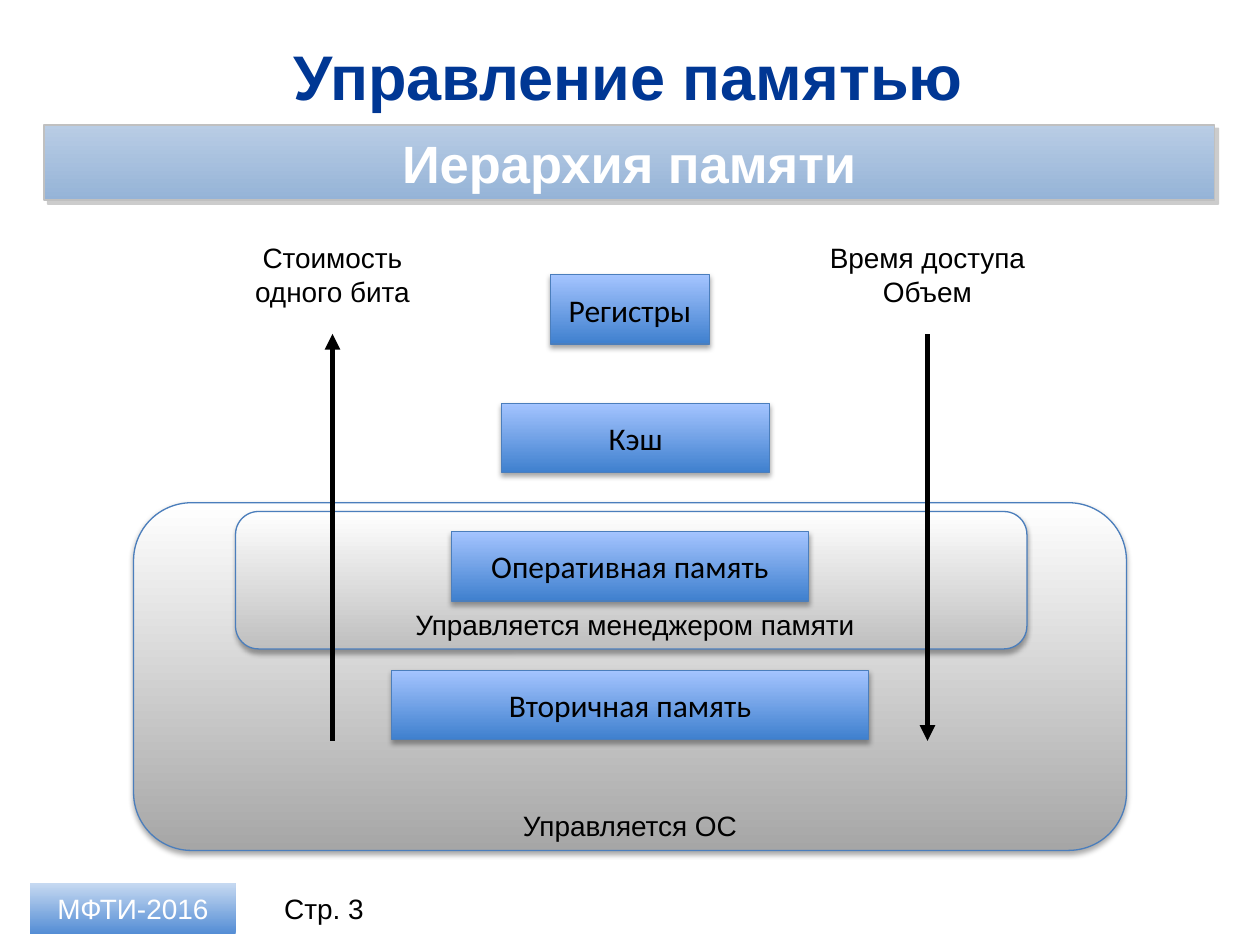
import pptx
import pptx.util
import pptx.dml.color
import pptx.enum.shapes
import pptx.enum.text
import pptx.oxml
import pptx.oxml.ns

Pt = pptx.util.Pt
KIND = pptx.enum.shapes.MSO_SHAPE
ANCHOR = pptx.enum.text.MSO_ANCHOR

THEME = {
    "font": "Arial", "box_font": "Calibri",
    "head": 36, "sub": 30, "box": 18, "note": 16,
    "ink": "000000", "white": "FFFFFF", "navy": "003794",
    "edge": "4B7EBC", "rim": "C0C0C0",
    "blue": ("3F80CE", "A4C4FF"), "band": ("95B3D7", "B9CDE5"),
    "tag": ("558ED5", "C6D9F1"),
    "dark": ("A6A6A6", "FFFFFF"), "pale": ("BFBFBF", "FFFFFF"),
    "soft": ("000000", 35, 3.1, 1.8, 90), "hard": ("808080", 40, 0, 3, 45),
}

TITLE = ("Управление памятью", (17.3, 18.7, 683.3, 49))
BAND = ("Иерархия памяти", (25.2, 71.3, 668.9, 43.2))
TAG = ("МФТИ-2016", (17.3, 504.7, 117.4, 28.8))
PAGE = ("Стр. 3", (146.2, 504.7, 77.8, 28.8))
ZONES = [("dark", (76.3, 287.3, 567.4, 198.7)), ("pale", (134.6, 292.3, 452.2, 78.5))]
LEVELS = [
    ("Регистры", 360, 157, 90.7),
    ("Кэш", 363.2, 230.4, 153.4),
    ("Оперативная память", 360, 303.8, 203.8),
    ("Вторичная память", 360, 383, 272.2),
]
LEVEL_HIGH = 39.6
TRENDS = [("Стоимость одного бита", 190, "tailEnd"), ("Время доступа\nОбъем", 530, "headEnd")]
TREND_WIDE, TREND_TOP, TREND_HIGH = 136, 133.9, 46.1
ARROW_LOW, ARROW_TOP = 423.4, 190.8
NOTES = [
    ("Управляется ОС", (229.7, 458.6, 260.6, 26.6)),
    ("Управляется менеджером памяти", (223.9, 343.4, 277.9, 26.6)),
]


def tint(code):
    return pptx.dml.color.RGBColor.from_string(code)


def place(area):
    return [Pt(part) for part in area]


def write(shape, text, size="note", font="font", color="ink", bold=False,
          anchor=ANCHOR.MIDDLE, inset=7.2):
    frame = shape.text_frame
    frame.word_wrap = True
    frame.auto_size = pptx.enum.text.MSO_AUTO_SIZE.NONE
    frame.vertical_anchor = anchor
    frame.margin_left = frame.margin_right = Pt(inset)
    frame.margin_top = frame.margin_bottom = Pt(3.6)
    frame.text = text
    for para in frame.paragraphs:
        para.alignment = pptx.enum.text.PP_ALIGN.CENTER
        for run in para.runs:
            run.font.name = THEME[font]
            run.font.size = Pt(THEME[size])
            run.font.bold = bold
            run.font.color.rgb = tint(THEME[color])


def shade(shape, look):
    color, alpha, blur, dist, turn = THEME[look]
    space = pptx.oxml.ns.nsdecls("a")
    shape._element.spPr.append(pptx.oxml.parse_xml(
        f'<a:effectLst {space}><a:outerShdw blurRad="{Pt(blur)}" dist="{Pt(dist)}" '
        f'dir="{turn * 60000}" rotWithShape="0"><a:srgbClr val="{color}">'
        f'<a:alpha val="{alpha * 1000}"/></a:srgbClr></a:outerShdw></a:effectLst>'))


def panel(slide, area, blend, kind=KIND.RECTANGLE, edge="edge", width=0.75, look="soft"):
    shape = slide.shapes.add_shape(kind, *place(area))
    shape.fill.gradient()
    shape.fill.gradient_angle = 90
    for stop, color in zip(shape.fill.gradient_stops, THEME[blend]):
        stop.color.rgb = tint(color)
    if edge:
        shape.line.color.rgb = tint(THEME[edge])
        shape.line.width = Pt(width)
    else:
        shape.line.fill.background()
    if look:
        shade(shape, look)
    else:
        shape.shadow.inherit = False
    return shape


def label(slide, text, area, **style):
    write(slide.shapes.add_textbox(*place(area)), text, **style)


def arrow(slide, mid, end):
    line = slide.shapes.add_connector(
        pptx.enum.shapes.MSO_CONNECTOR.STRAIGHT,
        *place((mid, ARROW_LOW, mid, ARROW_TOP)))
    line.line.color.rgb = tint(THEME["ink"])
    line.line.width = Pt(3)
    space = pptx.oxml.ns.nsdecls("a")
    line.line._get_or_add_ln().append(
        pptx.oxml.parse_xml(f'<a:{end} {space} type="triangle"/>'))
    line._element.spPr.append(pptx.oxml.parse_xml(f"<a:effectLst {space}/>"))


def main():
    deck = pptx.Presentation()
    deck.slide_width, deck.slide_height = Pt(720), Pt(540)
    slide = deck.slides.add_slide(deck.slide_layouts[5])

    text, area = TITLE
    title = slide.shapes.title
    title.left, title.top, title.width, title.height = place(area)
    write(title, text, size="head", color="navy", bold=True)

    for blend, area in ZONES:
        panel(slide, area, blend, kind=KIND.ROUNDED_RECTANGLE)

    label(slide, *PAGE)
    text, area = TAG
    write(panel(slide, area, "tag", edge=None, look=None), text, color="white")
    text, area = BAND
    band = panel(slide, area, "band", edge="rim", width=1, look="hard")
    write(band, text, size="sub", color="white", bold=True, inset=17.3)

    for text, mid, top, wide in LEVELS:
        box = panel(slide, (mid - wide / 2, top, wide, LEVEL_HIGH), "blue")
        write(box, text, size="box", font="box_font")

    for text, mid, end in TRENDS:
        arrow(slide, mid, end)
        label(slide, text, (mid - TREND_WIDE / 2, TREND_TOP, TREND_WIDE, TREND_HIGH),
              anchor=ANCHOR.TOP)

    for text, area in NOTES:
        label(slide, text, area, anchor=ANCHOR.TOP)

    deck.save("out.pptx")


if __name__ == "__main__":
    main()
